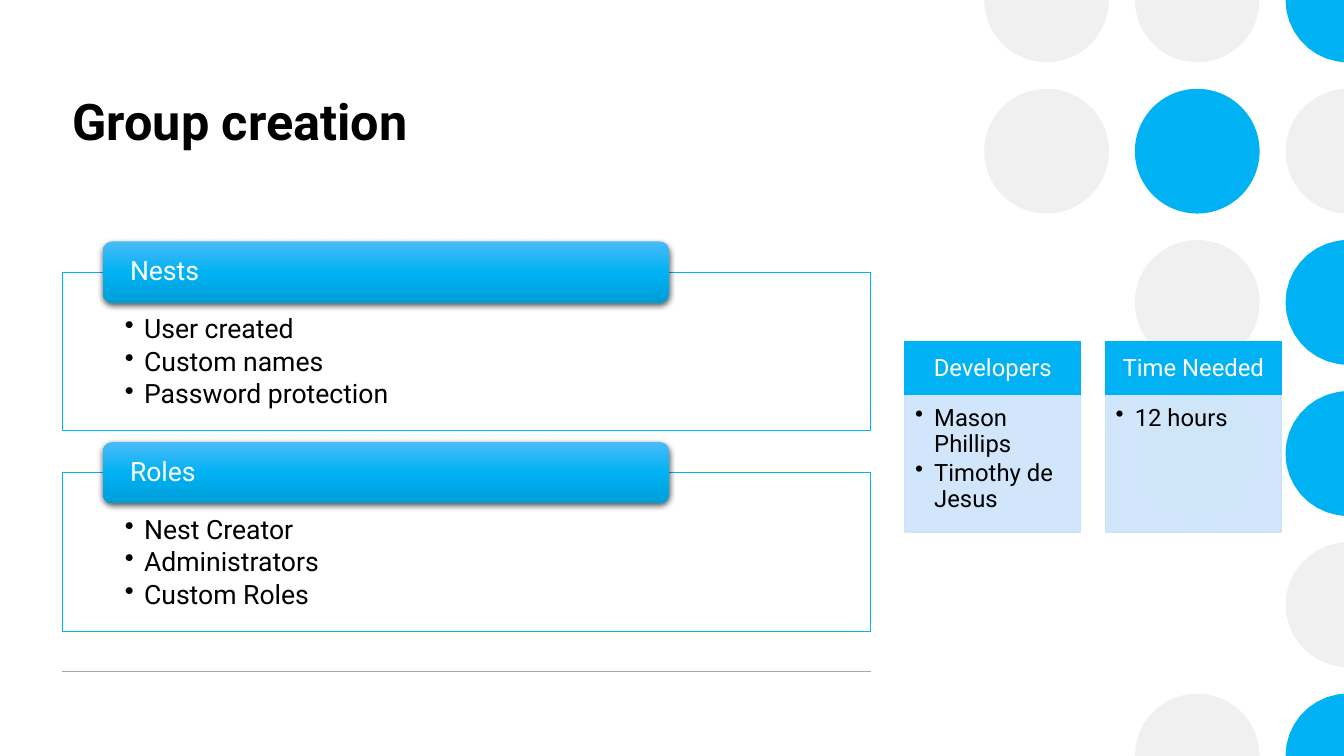
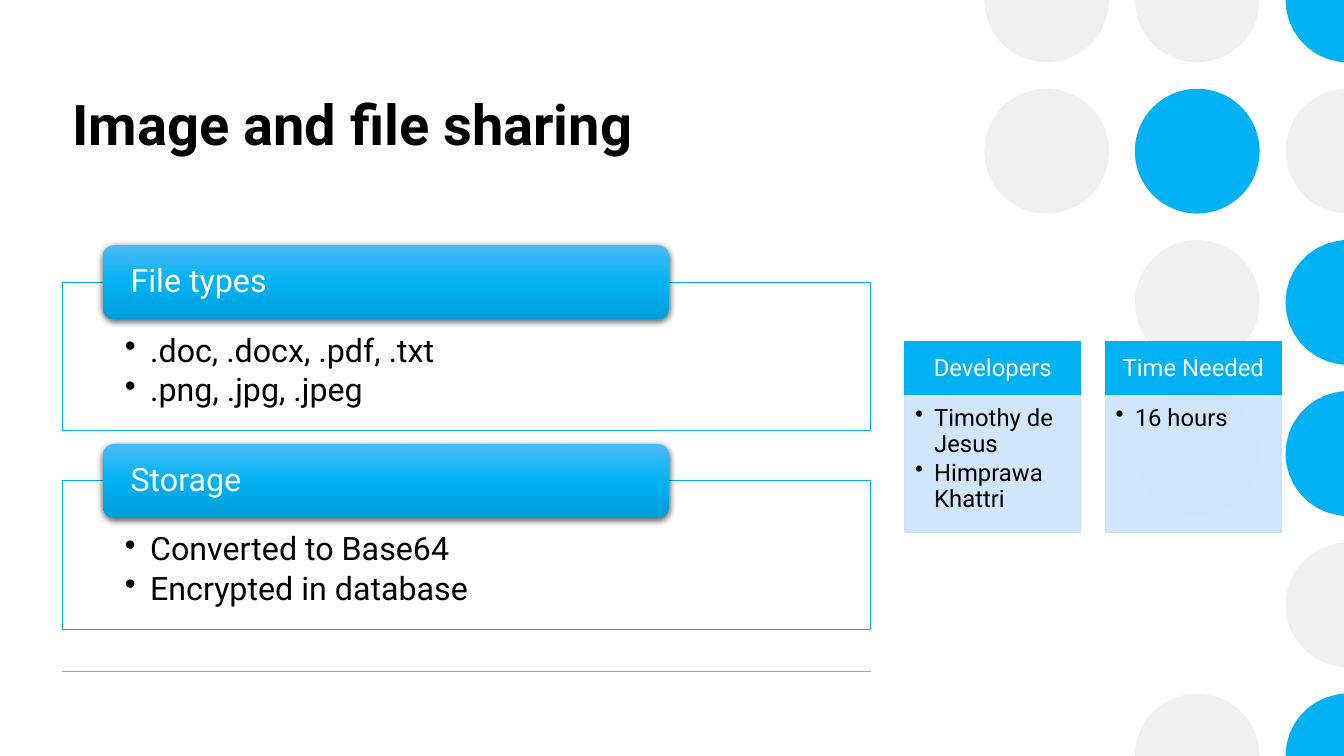
"""Build two feature-planning slides with a shared circle-grid backdrop."""
import copy
import math

import lxml.etree
import pptx
import pptx.dml.color
import pptx.enum.shapes
import pptx.enum.text
import pptx.oxml.ns
import pptx.util

WIDTH, HEIGHT = pptx.util.Inches(13.33), pptx.util.Inches(7.5)
FONT = "Roboto"
COLORS = {
    "blue": "00B2F3", "light_blue": "4BBBF8", "dark_blue": "009ED8", "pale_blue": "CCE4FA",
    "grey": "EFF0EF", "rule": "A6A6A6", "white": "FFFFFF", "black": "000000",
}
CIRCLE_ROWS = ["GGB", "GBG", ".GB", ".GB", "..G", ".GB"]
CIRCLE_COLORS = {"G": "grey", "B": "blue"}
LEFT, CONTENT_WIDTH = 4.65, 60.15
RECTANGLE = pptx.enum.shapes.MSO_SHAPE.RECTANGLE
TOP, MIDDLE = pptx.enum.text.MSO_ANCHOR.TOP, pptx.enum.text.MSO_ANCHOR.MIDDLE
SLIDES = [
    {
        "title": "Group creation", "title_size": 36,
        "sections": [
            ("Nests", ["User created", "Custom names", "Password protection"]),
            ("Roles", ["Nest Creator", "Administrators", "Custom Roles"]),
        ],
        "top": 36, "height": 20.93, "pitch": 26.53, "size": 19, "indent": 0.19,
        "cards": [("Developers", ["Mason Phillips", "Timothy de Jesus"]),
                  ("Time Needed", ["12 hours"])],
    },
    {
        "title": "Image and file sharing", "title_size": 40,
        "sections": [
            ("File types", [".doc, .docx, .pdf, .txt", ".png, .jpg, .jpeg"]),
            ("Storage", ["Converted to Base64", "Encrypted in database"]),
        ],
        "top": 37.33, "height": 19.6, "pitch": 26.27, "size": 23, "indent": 0.25,
        "cards": [("Developers", ["Timothy de Jesus", "Himprawa Khattri"]),
                  ("Time Needed", ["16 hours"])],
    },
]


def across(percent):
    """Return a percentage of the slide width."""
    return int(WIDTH * percent / 100)


def down(percent):
    """Return a percentage of the slide height."""
    return int(HEIGHT * percent / 100)


def color(name):
    """Return a named colour."""
    return pptx.dml.color.RGBColor.from_string(COLORS[name])


def add_xml(parent, tag, **attributes):
    """Append a DrawingML child with the given attributes."""
    values = {key: str(value) for key, value in attributes.items()}
    return lxml.etree.SubElement(parent, pptx.oxml.ns.qn(tag), values)


def paint(shape, fill, line=None, width=1, opacity=100):
    """Give a shape a plain fill and an optional outline."""
    shape.shadow.inherit = False
    shape.fill.solid()
    shape.fill.fore_color.rgb = color(fill)
    if opacity < 100:
        fill_color = shape.element.spPr.find(".//" + pptx.oxml.ns.qn("a:srgbClr"))
        add_xml(fill_color, "a:alpha", val=opacity * 1000)
    if line:
        shape.line.color.rgb = color(line)
        shape.line.width = pptx.util.Pt(width)
    else:
        shape.line.fill.background()


def add_box(slide, kind, left, top, width, height):
    """Add a preset shape placed by shares of the slide."""
    return slide.shapes.add_shape(kind, across(left), down(top), across(width), down(height))


def write(shape, lines, size, ink, insets, anchor=TOP, after=0.15, indent=0, centred=False):
    """Fill a shape with paragraphs, bulleted when an indent is given."""
    frame = shape.text_frame
    frame.word_wrap = True
    frame.vertical_anchor = anchor
    frame.margin_left, frame.margin_top, frame.margin_right, frame.margin_bottom = (
        pptx.util.Inches(inset) for inset in insets)
    frame.text = "\n".join(lines)
    alignment = pptx.enum.text.PP_ALIGN
    for paragraph in frame.paragraphs:
        paragraph.alignment = alignment.CENTER if centred else alignment.LEFT
        paragraph.line_spacing = 0.9
        paragraph.space_after = pptx.util.Pt(after * size)
        if indent:
            properties = paragraph._p.get_or_add_pPr()
            properties.set("marL", str(pptx.util.Inches(indent)))
            properties.set("indent", str(-pptx.util.Inches(indent)))
            add_xml(properties, "a:buChar", char="•")
        set_font(paragraph, size, ink)


def set_font(paragraph, size, ink, bold=False):
    """Set the font of a whole paragraph."""
    paragraph.font.name = FONT
    paragraph.font.size = pptx.util.Pt(size)
    paragraph.font.bold = bold
    paragraph.font.color.rgb = color(ink)


def add_circle(slide, center_x, center_y, radius, fill):
    """Add a circle, cut off at the slide's edges."""
    if radius <= center_x <= WIDTH - radius and radius <= center_y <= HEIGHT - radius:
        shape = slide.shapes.add_shape(
            pptx.enum.shapes.MSO_SHAPE.OVAL,
            center_x - radius, center_y - radius, 2 * radius, 2 * radius)
    else:
        points = []
        for degrees in range(0, 360, 10):
            angle = math.radians(degrees)
            x = center_x + radius * math.cos(angle)
            y = center_y + radius * math.sin(angle)
            if degrees % 90 == 0 or (x <= WIDTH and 0 <= y <= HEIGHT):
                points.append((int(min(x, WIDTH)), int(min(max(y, 0), HEIGHT))))
        builder = slide.shapes.build_freeform(*points[0])
        builder.add_line_segments(points[1:], close=True)
        shape = builder.convert_to_shape()
    paint(shape, fill)


def add_backdrop(slide):
    """Draw the circle grid and the bottom rule, then move them to the layout."""
    for row, pattern in enumerate(CIRCLE_ROWS):
        for column, mark in enumerate(pattern):
            if mark in CIRCLE_COLORS:
                add_circle(slide, across(77.87 + 11.21 * column), down(20 * row),
                           down(8.25), CIRCLE_COLORS[mark])
    rule = slide.shapes.add_connector(
        pptx.enum.shapes.MSO_CONNECTOR.STRAIGHT,
        across(LEFT), down(88.8), across(LEFT + CONTENT_WIDTH), down(88.8))
    rule.line.color.rgb = color("rule")
    rule.line.width = pptx.util.Pt(1)
    add_xml(rule.element.spPr, "a:effectLst")

    layout_tree = slide.slide_layout.shapes.element
    for placeholder in list(slide.slide_layout.placeholders)[1:]:
        layout_tree.remove(placeholder.element)
    for shape in list(slide.shapes):
        if not shape.is_placeholder:
            layout_tree.append(shape.element)


def set_title(slide, text, size):
    """Place and format the slide title."""
    title = slide.shapes.title
    title.left, title.top = across(LEFT), down(11.2)
    title.width, title.height = across(CONTENT_WIDTH), down(18.53)
    frame = title.text_frame
    frame.text = text
    frame.word_wrap = True
    frame.auto_size = pptx.enum.text.MSO_AUTO_SIZE.NONE
    frame.vertical_anchor = TOP
    frame.paragraphs[0].alignment = pptx.enum.text.PP_ALIGN.LEFT
    set_font(frame.paragraphs[0], size, "black", bold=True)


def add_glossy_finish(shape):
    """Give a shape a vertical three-stop gradient and a soft shadow."""
    paint(shape, "blue")
    shape.fill.gradient()
    shape.fill.gradient_angle = 270
    properties = shape.element.spPr
    stop_list = properties.find(".//" + pptx.oxml.ns.qn("a:gsLst"))
    stop_list.append(copy.deepcopy(stop_list[0]))
    names = ("light_blue", "blue", "dark_blue")
    for index, (stop, name) in enumerate(zip(shape.fill.gradient_stops, names)):
        stop.position = index / 2
        stop.color.rgb = color(name)
    shadow = add_xml(properties.find(pptx.oxml.ns.qn("a:effectLst")), "a:outerShdw",
                     blurRad=pptx.util.Pt(4.5), dist=pptx.util.Pt(1.5),
                     dir=5400000, algn="ctr", rotWithShape=0)
    shadow_color = add_xml(shadow, "a:srgbClr", val=COLORS["black"])
    add_xml(shadow_color, "a:alpha", val=63000)


def add_section(slide, top, height, heading, lines, size, indent):
    """Add an outlined list with its heading centred on the top edge."""
    box = add_box(slide, RECTANGLE, LEFT, top, CONTENT_WIDTH, height)
    paint(box, "white", "blue", 0.5, opacity=90)
    write(box, lines, size, "black", (0.62, 0.0226 * size, 0.62, 0.008 * size), indent=indent)
    heading_height = 0.427 * size
    heading_box = add_box(slide, pptx.enum.shapes.MSO_SHAPE.ROUNDED_RECTANGLE,
                          LEFT + 3, top - heading_height / 2, 42.15, heading_height)
    add_glossy_finish(heading_box)
    write(heading_box, [heading], size, "white", (0.24, 0, 0.24, 0), MIDDLE, after=0.35)


def add_card(slide, left, heading, lines):
    """Add a small card with a coloured header and a bulleted body."""
    top, width, header_height = 45.2, 13.05, 7.15
    header = add_box(slide, RECTANGLE, left, top, width, header_height)
    paint(header, "blue", "blue")
    write(header, [heading], 17, "white", (0.13, 0.08, 0.13, 0.08), MIDDLE,
          after=0.35, centred=True)
    body = add_box(slide, RECTANGLE, left, top + header_height, width, 18)
    paint(body, "pale_blue", "pale_blue", opacity=90)
    write(body, lines, 17, "black", (0.1, 0.1, 0.13, 0.15), indent=0.19)


def main():
    """Build and save the presentation."""
    presentation = pptx.Presentation()
    presentation.slide_width, presentation.slide_height = WIDTH, HEIGHT
    layout = presentation.slide_layouts[5]
    for number, content in enumerate(SLIDES):
        slide = presentation.slides.add_slide(layout)
        if number == 0:
            add_backdrop(slide)
        set_title(slide, content["title"], content["title_size"])
        for index, (heading, lines) in enumerate(content["sections"]):
            add_section(slide, content["top"] + index * content["pitch"], content["height"],
                        heading, lines, content["size"], content["indent"])
        for index, (heading, lines) in enumerate(content["cards"]):
            add_card(slide, 67.35 + 14.92 * index, heading, lines)
    presentation.save("out.pptx")


if __name__ == "__main__":
    main()
